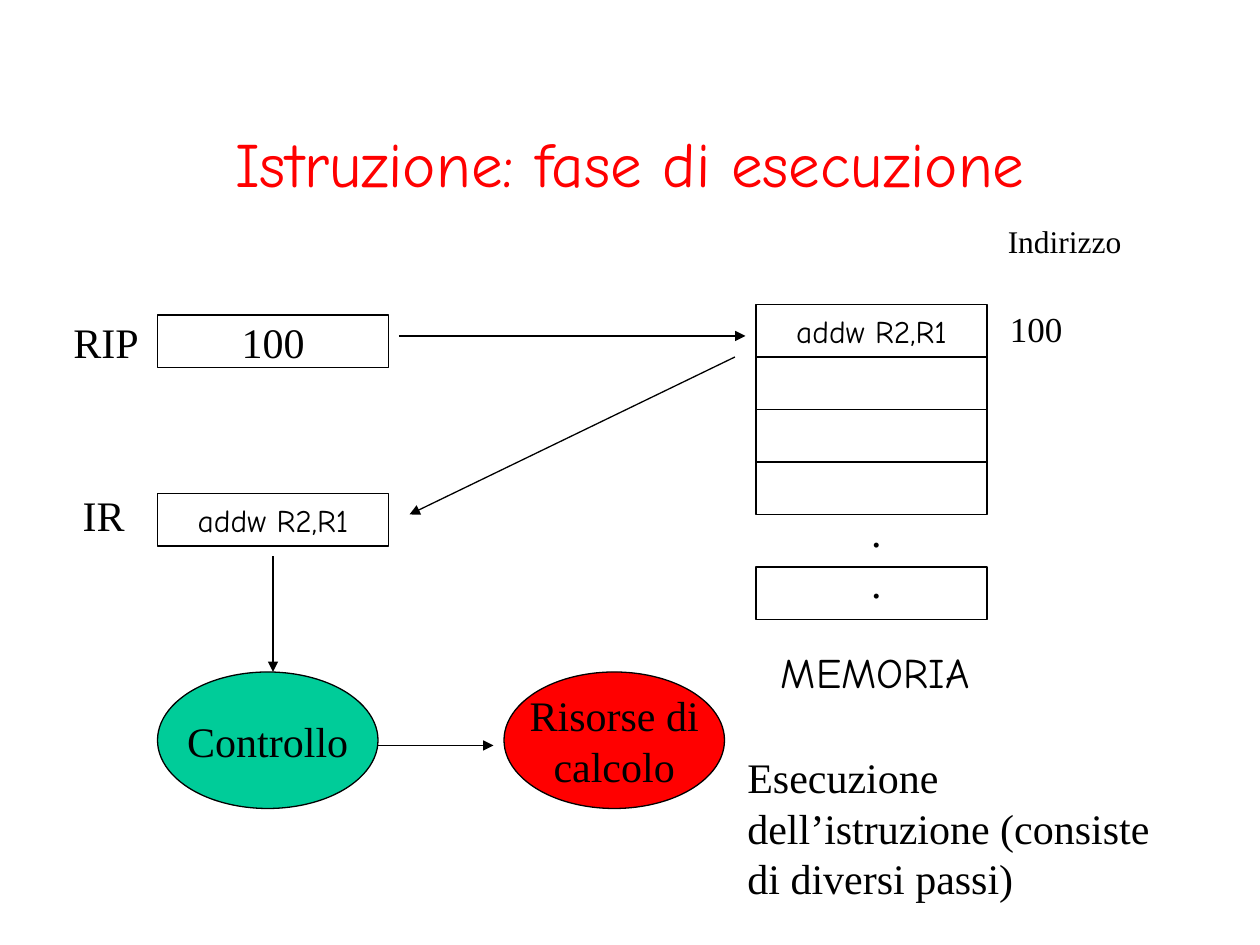
from dataclasses import dataclass

import pptx
import pptx.dml.color
import pptx.enum.shapes
import pptx.enum.text
import pptx.oxml.ns
import pptx.util
from lxml import etree

PX = 7620
SHAPES = pptx.enum.shapes.MSO_SHAPE
ALIGN = pptx.enum.text.PP_ALIGN
ANCHOR = pptx.enum.text.MSO_ANCHOR
FIT = pptx.enum.text.MSO_AUTO_SIZE.SHAPE_TO_FIT_TEXT


@dataclass(frozen=True)
class Theme:
    """Colours, fonts and type sizes of the slide."""
    ink: str = "000000"
    paper: str = "FFFFFF"
    red: str = "FF0000"
    green: str = "00CC99"
    serif: str = "Times New Roman"
    hand: str = "Comic Neue"
    title: int = 36
    body: int = 24
    address: int = 20
    small: int = 18
    line: float = 0.75


THEME = Theme()


def color(value):
    """Turn a hex string into a colour."""
    return pptx.dml.color.RGBColor.from_string(value)


def emu(*lengths):
    """Turn px lengths into EMU."""
    return [length * PX for length in lengths]


def write(shape, text, size=THEME.body, font=THEME.serif, ink=THEME.ink,
          align=ALIGN.LEFT, anchor=ANCHOR.TOP, wrap=False):
    """Fill a shape with formatted text."""
    frame = shape.text_frame
    frame.text = text
    frame.word_wrap = wrap
    frame.vertical_anchor = anchor
    for paragraph in frame.paragraphs:
        paragraph.alignment = align
        for run in paragraph.runs:
            run.font.size = pptx.util.Pt(size)
            run.font.name = font
            run.font.color.rgb = color(ink)


def add_label(slide, box, text, **style):
    """Add a free-standing text whose box grows with it."""
    label = slide.shapes.add_textbox(*emu(*box))
    write(label, text, **style)
    label.text_frame.auto_size = FIT


def add_node(slide, box, text="", kind=SHAPES.RECTANGLE, fill=THEME.paper, **style):
    """Add an outlined shape with centred text."""
    shape = slide.shapes.add_shape(kind, *emu(*box))
    shape.shadow.inherit = False
    shape.fill.solid()
    shape.fill.fore_color.rgb = color(fill)
    shape.line.color.rgb = color(THEME.ink)
    shape.line.width = pptx.util.Pt(THEME.line)
    write(shape, text, align=ALIGN.CENTER, anchor=ANCHOR.MIDDLE, **style)


def add_arrow(slide, start, end):
    """Add a straight arrow between two points."""
    connector = slide.shapes.add_connector(
        pptx.enum.shapes.MSO_CONNECTOR.STRAIGHT, *emu(*start, *end))
    connector.line.color.rgb = color(THEME.ink)
    connector.line.width = pptx.util.Pt(THEME.line)
    qualified = pptx.oxml.ns.qn
    etree.SubElement(connector.get_or_add_ln(), qualified("a:tailEnd"), type="triangle")
    etree.SubElement(connector._element.spPr, qualified("a:effectLst"))


def add_title(slide, box):
    """Place the slide title."""
    write(slide.shapes.add_textbox(*emu(*box)), "Istruzione: fase di esecuzione",
          size=THEME.title, font=THEME.hand, ink=THEME.red, align=ALIGN.CENTER,
          anchor=ANCHOR.MIDDLE, wrap=True)


def add_register(slide, box, name, name_box, value, **style):
    """Place a register and its name beside it."""
    left, top, width, height = box
    offset, rise, name_width, name_height = name_box
    add_node(slide, box, value, **style)
    add_label(slide, (left + offset, top + rise, name_width, name_height), name)


def add_memory(slide, box):
    """Place the memory column with its address and captions."""
    left, top, width, height = box
    row = height // 6
    for index in (0, 1, 2, 3, 5):
        text = "" if index else "addw R2,R1"
        add_node(slide, (left, top + index * row, width, row), text,
                 size=THEME.small, font=THEME.hand)
    add_label(slide, (left + 98, top + 186, 34, 156), ".\n.")
    add_label(slide, (left + width + 10, top - 3, 76, 53), "100", size=THEME.address)
    add_label(slide, (left + width + 8, top - 84, 134, 48), "Indirizzo", size=THEME.small)
    add_label(slide, (left + 12, top + height + 20, 206, 60), "MEMORIA", font=THEME.hand)


def add_execution(slide, box):
    """Place the control and computing units and the arrow between them."""
    left, top, width, height = box
    unit = 210
    right_unit = left + width - unit
    units = (("Controllo", THEME.green, left),
             ("Risorse di\ncalcolo", THEME.red, right_unit))
    for text, fill, unit_left in units:
        add_node(slide, (unit_left, top, unit, height), text, SHAPES.OVAL, fill)
    add_arrow(slide, (left + unit, top + 70), (right_unit - 10, top + 70))


def build_slide(presentation):
    """Compose the execution phase slide."""
    slide = presentation.slides.add_slide(presentation.slide_layouts[6])
    add_title(slide, (90, 80, 1020, 150))
    add_register(slide, (150, 300, 220, 50), "RIP", (-92, -4, 88, 60), "100")
    add_register(slide, (150, 470, 220, 50), "IR", (-83, -10, 64, 60), "addw R2,R1",
                 size=THEME.small, font=THEME.hand)
    add_memory(slide, (720, 290, 220, 300))
    add_execution(slide, (150, 640, 540, 130))
    for start, end in (((380, 320), (710, 320)),
                       ((700, 340), (390, 490)),
                       ((260, 530), (260, 640))):
        add_arrow(slide, start, end)
    add_label(slide, (700, 710, 410, 156),
              "Esecuzione dell’istruzione (consiste di diversi passi)", wrap=True)


def main():
    """Create and save the presentation."""
    presentation = pptx.Presentation()
    presentation.slide_width, presentation.slide_height = emu(1200, 900)
    build_slide(presentation)
    presentation.save("out.pptx")


if __name__ == "__main__":
    main()
